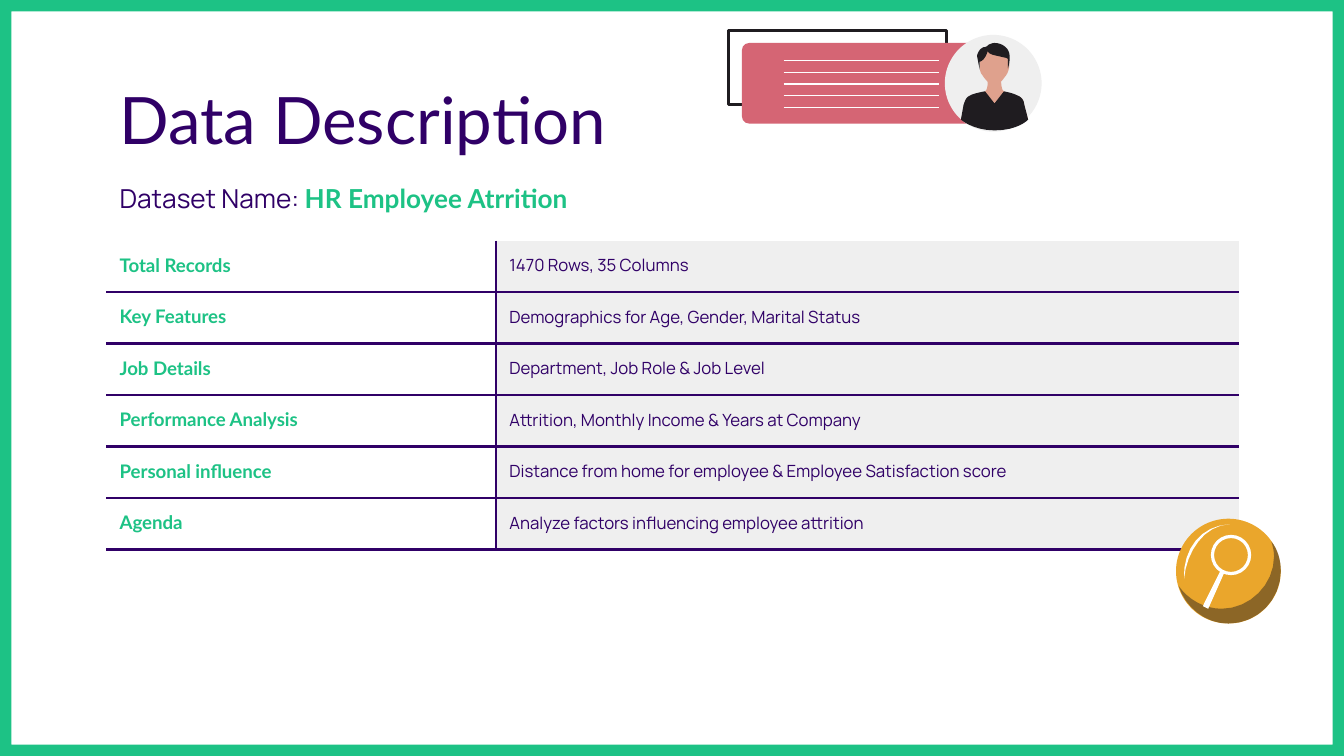
import lxml.etree
import pptx
import pptx.dml.color
import pptx.enum.shapes
import pptx.enum.text
import pptx.oxml.ns
import pptx.util

Inches = pptx.util.Inches
Pt = pptx.util.Pt
RGBColor = pptx.dml.color.RGBColor
MSO_SHAPE = pptx.enum.shapes.MSO_SHAPE
qn = pptx.oxml.ns.qn

SLIDE_W = 10
SLIDE_H = SLIDE_W * 9 / 16

GREEN = RGBColor(0x1D, 0xC2, 0x85)
PURPLE = RGBColor(0x30, 0x00, 0x67)
GREY = RGBColor(0xEF, 0xEF, 0xEF)
WHITE = RGBColor(0xFF, 0xFF, 0xFF)
BLACK = RGBColor(0x1F, 0x1C, 0x20)
AMBER = RGBColor(0xEA, 0xA6, 0x2C)
ROSE = RGBColor(0xD5, 0x65, 0x74)
SKIN = RGBColor(0xDF, 0xA1, 0x8D)

TITLE_FONT = {"name": "Lato", "size": Pt(35), "bold": False}
NAME_FONT = {"name": "Manrope", "size": Pt(14), "bold": False}
DATASET_FONT = {"name": "Lato", "size": Pt(14), "bold": True}
LABEL_FONT = {"name": "Lato", "size": Pt(10), "bold": True}
VALUE_FONT = {"name": "Manrope", "size": Pt(9), "bold": False}
MARGINS = {"margin_" + side: Inches(0.1) for side in ("left", "right", "top", "bottom")}
FRAME = {**MARGINS, "word_wrap": True, "vertical_anchor": pptx.enum.text.MSO_ANCHOR.TOP,
         "auto_size": pptx.enum.text.MSO_AUTO_SIZE.NONE}
PARAGRAPH = {"alignment": pptx.enum.text.PP_ALIGN.LEFT, "space_before": Pt(0)}

ROWS = [
    ("Total Records", "1470 Rows, 35 Columns"),
    ("Key Features", "Demographics for Age, Gender, Marital Status"),
    ("Job Details", "Department, Job Role & Job Level"),
    ("Performance Analysis", "Attrition, Monthly Income & Years at Company"),
    ("Personal influence", "Distance from home for employee & Employee Satisfaction score"),
    ("Agenda", "Analyze factors influencing employee attrition"),
]

BADGE_SHADE = ("M 71 17 C 72 20 73 24 73 28 C 73 49 55 67 34 67 C 21 67 9 60 2 50 "
               "C 7 66 22 78 39 78 C 61 78 78 60 78 39 C 78 31 76 23 71 17")
BADGE_GLINT = "M 40 4 C 19 5 5 22 6 45 C 8 24 21 5 40 4"
LENS_HANDLE = "M 33 39 L 20 65 L 24 67 L 36 40"
NECK = ("M 203 38 L 198 39 L 193 38 C 193 38 193 44 191 45 C 190 46 187 47 183 48 "
        "C 179 48 176 51 176 55 L 173 66 L 223 66 L 220 55 C 220 51 217 48 213 48 "
        "C 209 47 206 46 205 45 C 203 44 203 38 203 38")
FACE = ("M 198 10 C 192 10 187 16 187 25 C 187 28 187 31 189 33 C 190 35 193 38 194 39 "
        "C 195 40 195 41 197 41 L 199 41 C 200 41 201 40 202 39 C 203 37 204 37 205 35 "
        "C 208 32 209 28 209 25 C 209 17 204 10 198 10")
HAIR = ("M 198 9 C 196 9 195 10 194 10 C 194 10 192 12 191 12 C 188 12 185 16 185 19 "
        "L 187 29 L 187 23 C 191 22 193 15 193 15 C 194 18 198 18 206 20 "
        "C 207 20 208 21 208 21 L 208 28 C 210 21 210 15 206 12 C 205 11 202 9 198 9")
JACKET = ("M 191 45 C 190 45 181 47 180 48 C 177 49 176 52 175 55 L 173 66 "
          "C 173 66 182 74 198 74 C 216 74 223 66 223 66 L 220 54 "
          "C 220 54 220 50 215 48 C 211 46 205 45 205 45 L 198 54 L 191 45")


def set_all(obj, values):
    """Set every attribute named in a dict."""
    for name, value in values.items():
        setattr(obj, name, value)


def add_run(p, text, font, color):
    """Add one formatted run to a paragraph."""
    r = p.add_run()
    r.text = text
    set_all(r.font, font)
    r.font.color.rgb = color


def paint(sp, fill=None, line=None):
    """Give a shape a plain fill and outline."""
    sp.shadow.inherit = False
    if fill is None:
        sp.fill.background()
    else:
        sp.fill.solid()
        sp.fill.fore_color.rgb = fill
    if line is None:
        sp.line.fill.background()
    else:
        sp.line.color.rgb = line
        sp.line.width = Pt(1.5)
    return sp


def add_preset(shapes, kind, x, y, w, h, fill=None, line=None, adj=None):
    """Add a preset shape at a place in inches."""
    sp = shapes.add_shape(kind, Inches(x), Inches(y), Inches(w), Inches(h))
    if adj is not None:
        sp.adjustments[0] = adj
    return paint(sp, fill, line)


def add_outline(shapes, x, y, outline, fill, steps=8):
    """Add a closed outline given in hundredths of an inch from x, y."""
    points = []
    for part in outline.replace("L", "|L").replace("C", "|C").split("|"):
        n = [float(v) for v in part.split()[1:]]
        knots = list(zip(n[::2], n[1::2]))
        if len(knots) == 1:
            points += knots
            continue
        a, (b, c, d) = points[-1], knots
        for t in (i / steps for i in range(1, steps + 1)):
            u = 1 - t
            points.append(tuple(u**3 * a[k] + 3 * u * u * t * b[k] + 3 * u * t * t * c[k]
                                + t**3 * d[k] for k in (0, 1)))
    placed = [(Inches(x + px / 100), Inches(y + py / 100)) for px, py in points]
    builder = shapes.build_freeform(*placed[0], scale=1.0)
    builder.add_line_segments(placed[1:], close=True)
    return paint(builder.convert_to_shape(), fill)


def fill_placeholder(sp, x, y, w, h, runs):
    """Place a placeholder and write one unbulleted line in it."""
    set_all(sp, dict(zip(("left", "top", "width", "height"), map(Inches, (x, y, w, h)))))
    tf = sp.text_frame
    set_all(tf, FRAME)
    p = tf.paragraphs[0]
    set_all(p, PARAGRAPH)
    pPr = p._p.get_or_add_pPr()
    pPr.set("marL", "0")
    pPr.set("indent", "0")
    lxml.etree.SubElement(pPr, qn("a:buNone"))
    for run in runs:
        add_run(p, *run)


def add_border(cell, side):
    """Draw a purple border on one side of a cell."""
    ln = lxml.etree.SubElement(cell._tc.get_or_add_tcPr(), qn("a:ln" + side), w=str(Pt(1.5)))
    fill = lxml.etree.SubElement(ln, qn("a:solidFill"))
    lxml.etree.SubElement(fill, qn("a:srgbClr"), val=str(PURPLE))


def add_facts(shapes, x, y, w, h):
    """Add the table of dataset facts."""
    tbl = shapes.add_table(len(ROWS), 2, Inches(x), Inches(y), Inches(w), Inches(h)).table
    set_all(tbl, {"first_row": False, "horz_banding": False})
    tbl._tbl.tblPr.find(qn("a:tableStyleId")).text = "{2D5ABB26-0587-4C30-8999-92F81FD0307C}"
    tbl.columns[0].width = Inches(2.9)
    tbl.columns[1].width = Inches(w - 2.9)
    for i, texts in enumerate(ROWS):
        label, value = tbl.cell(i, 0), tbl.cell(i, 1)
        for side in "RTB" if i else "RB":
            add_border(label, side)
        for side in "LTB" if i else "LB":
            add_border(value, side)
        label.fill.background()
        value.fill.solid()
        value.fill.fore_color.rgb = GREY
        formats = ((LABEL_FONT, GREEN), (VALUE_FONT, PURPLE))
        for cell, text, (font, color) in zip((label, value), texts, formats):
            set_all(cell, MARGINS)
            add_run(cell.text_frame.paragraphs[0], text, font, color)
        value.text_frame.paragraphs[0].space_after = Pt(16)


def add_badge(shapes, x, y, d):
    """Add the round magnifier badge."""
    g = shapes.add_group_shape().shapes
    add_preset(g, MSO_SHAPE.OVAL, x, y, d, d, AMBER)
    shade = add_outline(g, x, y, BADGE_SHADE, BLACK)
    color = shade.fill._xPr.find(qn("a:solidFill"))[0]
    lxml.etree.SubElement(color, qn("a:alpha"), val="46000")
    add_outline(g, x, y, BADGE_GLINT, WHITE)
    add_preset(g, MSO_SHAPE.DONUT, x + 0.26, y + 0.12, 0.3, 0.3, WHITE, adj=0.08)
    add_outline(g, x, y, LENS_HANDLE, WHITE)


def add_profile(shapes, x, y):
    """Add the profile card with its portrait."""
    g = shapes.add_group_shape().shapes
    add_preset(g, MSO_SHAPE.RECTANGLE, x, y, 1.62, 0.55, line=BLACK)
    add_preset(g, MSO_SHAPE.ROUNDED_RECTANGLE, x + 0.1, y + 0.09, 1.78, 0.6, ROSE, adj=0.09)
    for i in range(5):
        top = Inches(y + 0.22 + 0.35 * i / 4)
        line = g.add_connector(pptx.enum.shapes.MSO_CONNECTOR.STRAIGHT,
                               Inches(x + 0.41), top, Inches(x + 1.57), top)
        line.line.color.rgb = WHITE
        line.line.width = Pt(0.75)
        lxml.etree.SubElement(line._element.spPr, qn("a:effectLst"))
    add_preset(g, MSO_SHAPE.OVAL, x + 1.61, y + 0.03, 0.72, 0.72, GREY)
    for outline, fill in ((NECK, SKIN), (FACE, SKIN), (HAIR, BLACK), (JACKET, BLACK)):
        add_outline(g, x, y, outline, fill)


def main():
    """Build and save the slide."""
    prs = pptx.Presentation()
    prs.slide_width, prs.slide_height = Inches(SLIDE_W), Inches(SLIDE_H)
    s = prs.slides.add_slide(prs.slide_layouts[1])
    add_preset(s.shapes, MSO_SHAPE.FRAME, 0, 0, SLIDE_W, SLIDE_H, GREEN, adj=0.015)
    fill_placeholder(s.shapes.title, 0.79, 0.49, 8.43, 0.63,
                     [("Data Description", TITLE_FONT, PURPLE)])
    fill_placeholder(s.placeholders[1], 0.79, 1.26, 8.43, 0.43,
                     [("Dataset Name: ", NAME_FONT, PURPLE),
                      ("HR Employee Atrrition", DATASET_FONT, GREEN)])
    add_facts(s.shapes, 0.79, 1.79, 8.43, 2.3)
    add_badge(s.shapes, 8.75, 3.86, 0.78)
    add_profile(s.shapes, 5.42, 0.23)
    prs.save("out.pptx")


if __name__ == "__main__":
    main()
